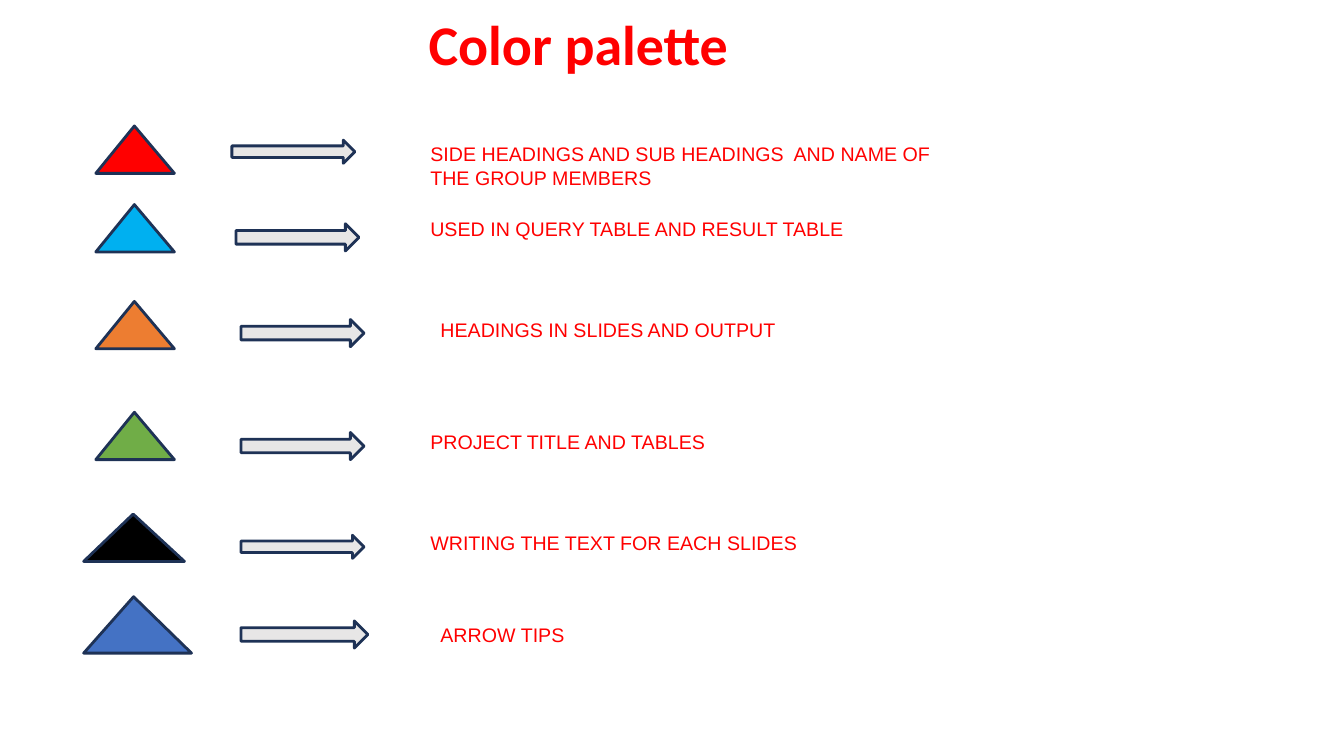
import pptx
import pptx.util
import pptx.dml.color
import pptx.enum.shapes
import pptx.enum.text

Inches, Pt = pptx.util.Inches, pptx.util.Pt
SHAPE = pptx.enum.shapes.MSO_SHAPE

COLORS = {
    "text": "FF0000", "outline": "1E3256", "arrow": "E7E6E6",
    "red": "FF0000", "sky": "00B0F0", "orange": "ED7D31",
    "green": "70AD47", "black": "000000", "blue": "4472C4",
}
TITLE = "Color palette"
SMALL = (0.78, 0.47)

# color, triangle (left, top), triangle size, apex, arrow box, label, label box
ROWS = [
    ("red", (0.95, 1.25), SMALL, 0.491, (2.3, 1.39, 1.22, 0.23),
     "SIDE HEADINGS AND SUB HEADINGS  AND NAME OF THE GROUP MEMBERS", (4.17, 1.36, 5.36, 0.57)),
    ("sky", (0.95, 2.03), SMALL, 0.491, (2.34, 2.22, 1.22, 0.27),
     "USED IN QUERY TABLE AND RESULT TABLE", (4.17, 2.1, 6.66, 0.34)),
    ("orange", (0.95, 2.99), SMALL, 0.491, (2.39, 3.17, 1.22, 0.27),
     "HEADINGS IN SLIDES AND OUTPUT", (4.27, 3.1, 6.86, 0.34)),
    ("green", (0.95, 4.09), SMALL, 0.491, (2.39, 4.29, 1.22, 0.27),
     "PROJECT TITLE AND TABLES", (4.17, 4.22, 6.66, 0.34)),
    ("black", (0.83, 5.1), (1, 0.47), 0.491, (2.39, 5.31, 1.22, 0.23),
     "WRITING THE TEXT FOR EACH SLIDES", (4.17, 5.22, 6.66, 0.34)),
    ("blue", (0.83, 5.92), (1.07, 0.56), 0.463, (2.39, 6.16, 1.26, 0.27),
     "ARROW TIPS", (4.27, 6.13, 6.86, 0.34)),
]


def rgb(name):
    return pptx.dml.color.RGBColor.from_string(COLORS[name])


def add_outlined(s, kind, box, fill):
    sp = s.shapes.add_shape(kind, *map(Inches, box))
    sp.shadow.inherit = False
    sp.fill.solid()
    sp.fill.fore_color.rgb = rgb(fill)
    sp.line.color.rgb = rgb("outline")
    sp.line.width = Pt(2)
    return sp


def style_text(p, font, size, bold=False):
    for r in p.runs:
        r.font.name = font
        r.font.size = Pt(size)
        r.font.bold = bold
        r.font.color.rgb = rgb("text")


def add_title(s):
    sp = s.shapes.title
    sp.left, sp.top, sp.width, sp.height = map(Inches, (4.15, 0.04, 8.53, 0.86))
    tf = sp.text_frame
    tf.text = TITLE
    tf.vertical_anchor = pptx.enum.text.MSO_ANCHOR.MIDDLE
    p = tf.paragraphs[0]
    p.alignment = pptx.enum.text.PP_ALIGN.LEFT
    p.line_spacing = 0.9
    style_text(p, "Calibri", 40, bold=True)


def add_label(s, text, box):
    tf = s.shapes.add_textbox(*map(Inches, box)).text_frame
    tf.word_wrap = True
    tf.auto_size = pptx.enum.text.MSO_AUTO_SIZE.SHAPE_TO_FIT_TEXT
    tf.text = text
    style_text(tf.paragraphs[0], "Arial", 14)


def main():
    prs = pptx.Presentation()
    prs.slide_width, prs.slide_height = Inches(13.33), Inches(7.5)
    s = prs.slides.add_slide(prs.slide_layouts[5])
    add_title(s)
    for color, corner, size, apex, arrow_box, label, label_box in ROWS:
        triangle = add_outlined(s, SHAPE.ISOSCELES_TRIANGLE, corner + size, color)
        triangle.adjustments[0] = apex
        add_outlined(s, SHAPE.RIGHT_ARROW, arrow_box, "arrow")
        add_label(s, label, label_box)
    prs.save("out.pptx")


if __name__ == "__main__":
    main()
